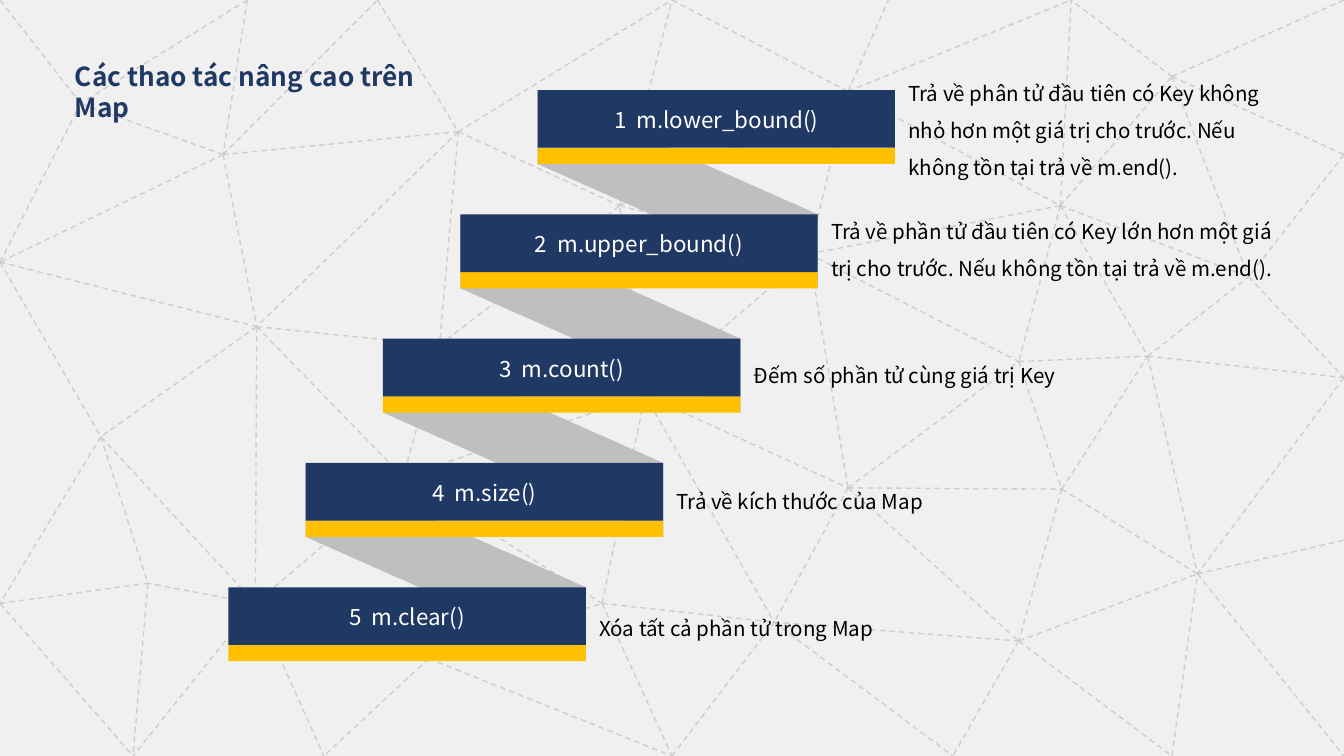
import pptx
import pptx.dml.color
import pptx.enum.dml
import pptx.enum.shapes
import pptx.enum.text
import pptx.oxml.ns
import pptx.util
from lxml import etree

WIDTH = 10
HEIGHT = WIDTH * 9 / 16
FONT = "Noto Sans CJK SC"
NAVY, GOLD, GREY = "203864", "FFC000", "BFBFBF"
PAPER, MESH, WHITE, BLACK = "F0F0F0", "CDCDCD", "FFFFFF", "000000"
SHAPES = pptx.enum.shapes.MSO_SHAPE
ALIGN = pptx.enum.text.PP_ALIGN

BAR_WIDTH, BAR_HEIGHT, EDGE_HEIGHT = 2.66, 0.43, 0.12
STEP_LEFT, STEP_DOWN = 2.3 / 4, 3.7 / 4

MESH_NODES = {
    "A": (1.84, 0, "Bp"), "B": (1.66, 1.15, "CDEFp"), "C": (0, 1.95, "FJp"),
    "D": (2.81, 0, "E"), "E": (3.41, 0.98, "FGST"), "F": (1.91, 2.43, "GHIJ"),
    "G": (3.27, 2.57, "HRS"), "H": (3, 3.55, "INPR"), "I": (1.9, 4.49, "JLMNO"),
    "J": (0.75, 3.25, "KL"), "K": (0, 4.49, "LM"), "L": (1.1, 4.34, "M"),
    "M": (0.99, HEIGHT, ""), "N": (3.19, 4.9, "OPQ"), "O": (2.41, HEIGHT, ""),
    "P": (4.48, 4.49, "QRX"), "Q": (5, HEIGHT, "X"), "R": (4.8, 2.94, "SVWX"),
    "S": (4.61, 1.53, "TUV"), "T": (5, 0, "U"), "U": (6.31, 0.68, "VYZh"),
    "V": (6.02, 1.89, "WZa"), "W": (6.31, 3.63, "Xabc"), "X": (5.76, 4.63, "cd"),
    "Y": (6.61, 0, ""), "Z": (7.89, 1.53, "afghk"), "a": (7.58, 2.69, "bf"),
    "b": (7.9, 3.64, "cfm"), "c": (7.58, 4.77, "dem"), "d": (7.09, HEIGHT, ""),
    "e": (8.72, HEIGHT, "m"), "f": (8.54, 2.65, "klm"), "g": (8.72, 0.57, "hijk"),
    "h": (7.97, 0, ""), "i": (10, 0, ""), "j": (10, 1.15, "k"),
    "k": (9.29, 2.06, "l"), "l": (10, 2.81, "m"), "m": (8.91, 4.27, "no"),
    "n": (10, HEIGHT, ""), "o": (10, 4.02, ""), "p": (0.6, 0.77, "q"),
    "q": (0, 0, ""),
}

OPERATIONS = [
    ("1  m.lower_bound()",
     "Trả về phân tử đầu tiên có Key không nhỏ hơn một giá trị cho trước. "
     "Nếu không tồn tại trả về m.end().", 0.46, 3.11, 0.93),
    ("2  m.upper_bound()",
     "Trả về phần tử đầu tiên có Key lớn hơn một giá trị cho trước. "
     "Nếu không tồn tại trả về m.end().", 1.49, 3.67, 0.66),
    ("3  m.count()", "Đếm số phần tử cùng giá trị Key", 2.56, 3.82, 0.38),
    ("4  m.size()", "Trả về kích thước của Map", 3.5, 3.96, 0.38),
    ("5  m.clear()", "Xóa tất cả phần tử trong Map", 4.44, 3.85, 0.38),
]


def colour(value):
    return pptx.dml.color.RGBColor.from_string(value)


def inches(*lengths):
    return [pptx.util.Inches(length) for length in lengths]


def add_block(page, kind, box, fill):
    block = page.shapes.add_shape(kind, *inches(*box))
    block.shadow.inherit = False
    block.fill.solid()
    block.fill.fore_color.rgb = colour(fill)
    block.line.fill.background()
    return block


def add_text(page, box, text, size, ink, align=ALIGN.LEFT, spacing=1.0, bold=False):
    frame = page.shapes.add_textbox(*inches(*box)).text_frame
    frame.word_wrap = True
    frame.text = text
    para = frame.paragraphs[0]
    para.alignment = align
    para.line_spacing = spacing
    font = para.runs[0].font
    font.name, font.size, font.bold = FONT, pptx.util.Pt(size), bold
    font.color.rgb = colour(ink)


def add_mesh(page, box):
    left, top, width, height = box

    def place(node):
        x, y, _ = MESH_NODES[node]
        return inches(left + x / WIDTH * width, top + y / HEIGHT * height)

    for node, (_, _, neighbours) in MESH_NODES.items():
        for neighbour in neighbours:
            line = page.shapes.add_connector(
                pptx.enum.shapes.MSO_CONNECTOR.STRAIGHT, *place(node), *place(neighbour))
            line.line.color.rgb = colour(MESH)
            line.line.width = pptx.util.Pt(0.75)
            line.line.dash_style = pptx.enum.dml.MSO_LINE.DASH
            etree.SubElement(line.element.spPr, pptx.oxml.ns.qn("a:effectLst"))


def add_fold(page, box):
    left, top, width, height = box
    turned = (left + (width - height) / 2, top + (height - width) / 2, height, width)
    fold = add_block(page, SHAPES.PARALLELOGRAM, turned, GREY)
    fold.adjustments[0] = STEP_DOWN / height
    fold.rotation = 90


def add_bar(page, box, label):
    left, top, width, height = box
    add_block(page, SHAPES.RECTANGLE, (left, top + height, width, EDGE_HEIGHT), GOLD)
    add_block(page, SHAPES.RECTANGLE, box, NAVY)
    add_text(page, (left + 0.16, top + 0.07, width - 0.32, 0.3), label, 12, WHITE,
             ALIGN.CENTER)


def add_staircase(page, left, top):
    corners = [(left - STEP_LEFT * step, top + STEP_DOWN * step)
               for step in range(len(OPERATIONS))]
    for x, y in corners[:-1]:
        add_fold(page, (x, y, BAR_WIDTH - STEP_LEFT,
                        STEP_DOWN + BAR_HEIGHT + EDGE_HEIGHT))
    for (x, y), (label, detail, detail_top, width, height) in zip(corners, OPERATIONS):
        add_bar(page, (x, y, BAR_WIDTH, BAR_HEIGHT), label)
        add_text(page, (x + BAR_WIDTH, detail_top, width, height), detail, 11, BLACK,
                 spacing=1.5)


def main():
    deck = pptx.Presentation()
    deck.slide_width, deck.slide_height = inches(WIDTH, HEIGHT)
    page = deck.slides.add_slide(deck.slide_layouts[6])
    add_block(page, SHAPES.RECTANGLE, (0, 0, WIDTH, HEIGHT), PAPER)
    add_mesh(page, (0, 0, WIDTH, HEIGHT))
    add_staircase(page, 4, 0.67)
    add_text(page, (0.46, 0.4, 2.96, 0.56), "Các thao tác nâng cao trên Map", 14, NAVY,
             bold=True)
    deck.save("out.pptx")


if __name__ == "__main__":
    main()
